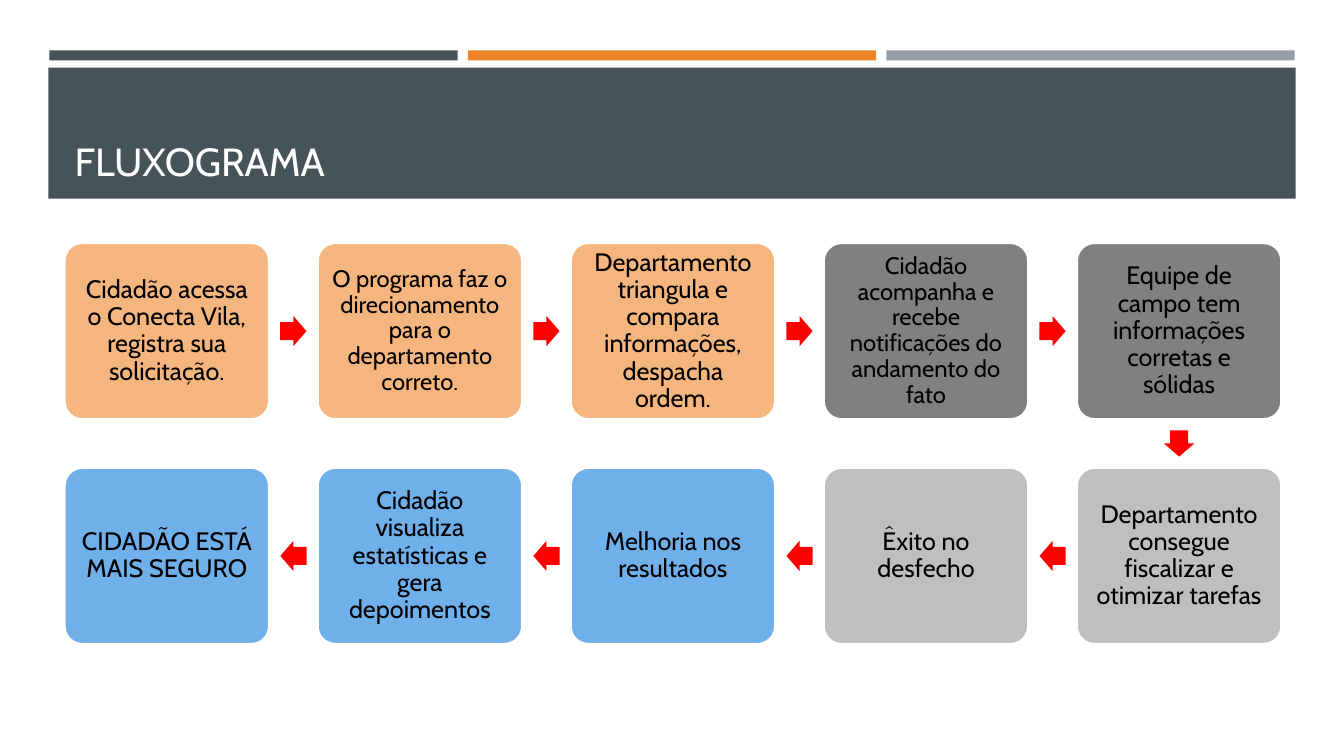
from lxml import etree
from pptx import Presentation
from pptx.dml.color import RGBColor
from pptx.enum.shapes import MSO_SHAPE as Shape
from pptx.enum.text import MSO_ANCHOR as Anchor, PP_ALIGN as Align
from pptx.oxml.ns import qn
from pptx.util import Inches, Pt

FONT = "Cabin"
SLATE = RGBColor(0x46, 0x53, 0x59)
ORANGE = RGBColor(0xED, 0x84, 0x28)
SILVER = RGBColor(0x96, 0x9F, 0xA7)
PEACH = RGBColor(0xF4, 0xB5, 0x7E)
DARK_GRAY = RGBColor(0x80, 0x80, 0x80)
LIGHT_GRAY = RGBColor(0xBF, 0xBF, 0xBF)
BLUE = RGBColor(0x07, 0x76, 0xDB)
RED = RGBColor(0xFF, 0x00, 0x00)
WHITE = RGBColor(0xFF, 0xFF, 0xFF)
BLACK = RGBColor(0x00, 0x00, 0x00)

# Content: steps in flow order, with fill and text size
TITLE = "FLUXOGRAMA"
STEPS = [
    ("Cidadão acessa o Conecta Vila, registra sua solicitação.", PEACH, 18),
    ("O programa faz o direcionamento para o departamento correto.", PEACH, 17),
    ("Departamento triangula e compara informações, despacha ordem.", PEACH, 18),
    ("Cidadão acompanha e recebe notificações do andamento do fato", DARK_GRAY, 17),
    ("Equipe de campo tem informações corretas e sólidas", DARK_GRAY, 18),
    ("Departamento consegue fiscalizar e otimizar tarefas", LIGHT_GRAY, 18),
    ("Êxito no desfecho", LIGHT_GRAY, 18),
    ("Melhoria nos resultados", BLUE, 18),
    ("Cidadão visualiza estatísticas e gera depoimentos", BLUE, 18),
    ("CIDADÃO ESTÁ MAIS SEGURO", BLUE, 18),
]
BAR_COLORS = [SLATE, ORANGE, SILVER]
BLUE_OPACITY = 58

# Geometry in inches
COLUMNS = 5
GRID_LEFT, GRID_TOP = 0.64, 2.41
COLUMN_STEP, ROW_STEP = 2.51, 2.23
BOX_WIDTH, BOX_HEIGHT = 2.03, 1.75
ARROW_WIDTH, ARROW_HEIGHT = 0.26, 0.3


def add_filled(slide, kind, left, top, width, height, color):
    shape = slide.shapes.add_shape(
        kind, Inches(left), Inches(top), Inches(width), Inches(height))
    shape.shadow.inherit = False
    shape.fill.solid()
    shape.fill.fore_color.rgb = color
    shape.line.fill.background()
    return shape


def style_text(paragraph, size, color, align):
    paragraph.alignment = align
    for run in paragraph.runs:
        run.font.name = FONT
        run.font.size = Pt(size)
        run.font.color.rgb = color


def box_position(index):
    """The first row runs to the right, the second back to the left."""
    row, column = divmod(index, COLUMNS)
    if row:
        column = COLUMNS - 1 - column
    return GRID_LEFT + column * COLUMN_STEP, GRID_TOP + row * ROW_STEP


def add_step(slide, index, text, color, size):
    box = add_filled(slide, Shape.ROUNDED_RECTANGLE, *box_position(index),
                     BOX_WIDTH, BOX_HEIGHT, color)
    box.adjustments[0] = 0.1
    box.line.color.rgb = WHITE
    box.line.width = Pt(1.75)
    if color == BLUE:
        fill_color = box.fill._xPr.find(qn("a:solidFill"))[0]
        alpha = etree.SubElement(fill_color, qn("a:alpha"))
        alpha.set("val", str(BLUE_OPACITY * 1000))
    frame = box.text_frame
    frame.word_wrap = True
    frame.vertical_anchor = Anchor.MIDDLE
    frame.margin_left = frame.margin_right = Inches(0.07)
    frame.margin_top = frame.margin_bottom = Inches(0.07)
    frame.text = text
    frame.paragraphs[0].line_spacing = 0.9
    style_text(frame.paragraphs[0], size, BLACK, Align.CENTER)


def add_arrow(slide, index):
    """Centre an arrow between a step and the next one."""
    left, top = box_position(index)
    next_left, next_top = box_position(index + 1)
    arrow = add_filled(slide, Shape.RIGHT_ARROW,
                       (left + next_left + BOX_WIDTH - ARROW_WIDTH) / 2,
                       (top + next_top + BOX_HEIGHT - ARROW_HEIGHT) / 2,
                       ARROW_WIDTH, ARROW_HEIGHT, RED)
    arrow.adjustments[0] = 0.6
    arrow.adjustments[1] = 0.5
    if next_top > top:
        arrow.rotation = 90
    elif next_left < left:
        arrow.rotation = 180


def main():
    presentation = Presentation()
    presentation.slide_width = Inches(13.33)
    presentation.slide_height = Inches(7.5)
    slide = presentation.slides.add_slide(presentation.slide_layouts[5])

    # Header bars and title band
    for index, color in enumerate(BAR_COLORS):
        add_filled(slide, Shape.RECTANGLE, 0.49 + index * 4.15, 0.5, 4.05, 0.1, color)
    add_filled(slide, Shape.RECTANGLE, 0.48, 0.67, 12.37, 1.3, SLATE)

    # Title, moved in front of the band
    title = slide.shapes.title
    title.left, title.top = Inches(0.64), Inches(0.77)
    title.width, title.height = Inches(12.06), Inches(1.11)
    title.text_frame.text = TITLE
    title.text_frame.vertical_anchor = Anchor.BOTTOM
    style_text(title.text_frame.paragraphs[0], 28, WHITE, Align.LEFT)
    slide.shapes._spTree.append(title._element)

    # Flow of steps and arrows
    for index, step in enumerate(STEPS):
        add_step(slide, index, *step)
        if index < len(STEPS) - 1:
            add_arrow(slide, index)

    presentation.save("out.pptx")


if __name__ == "__main__":
    main()
